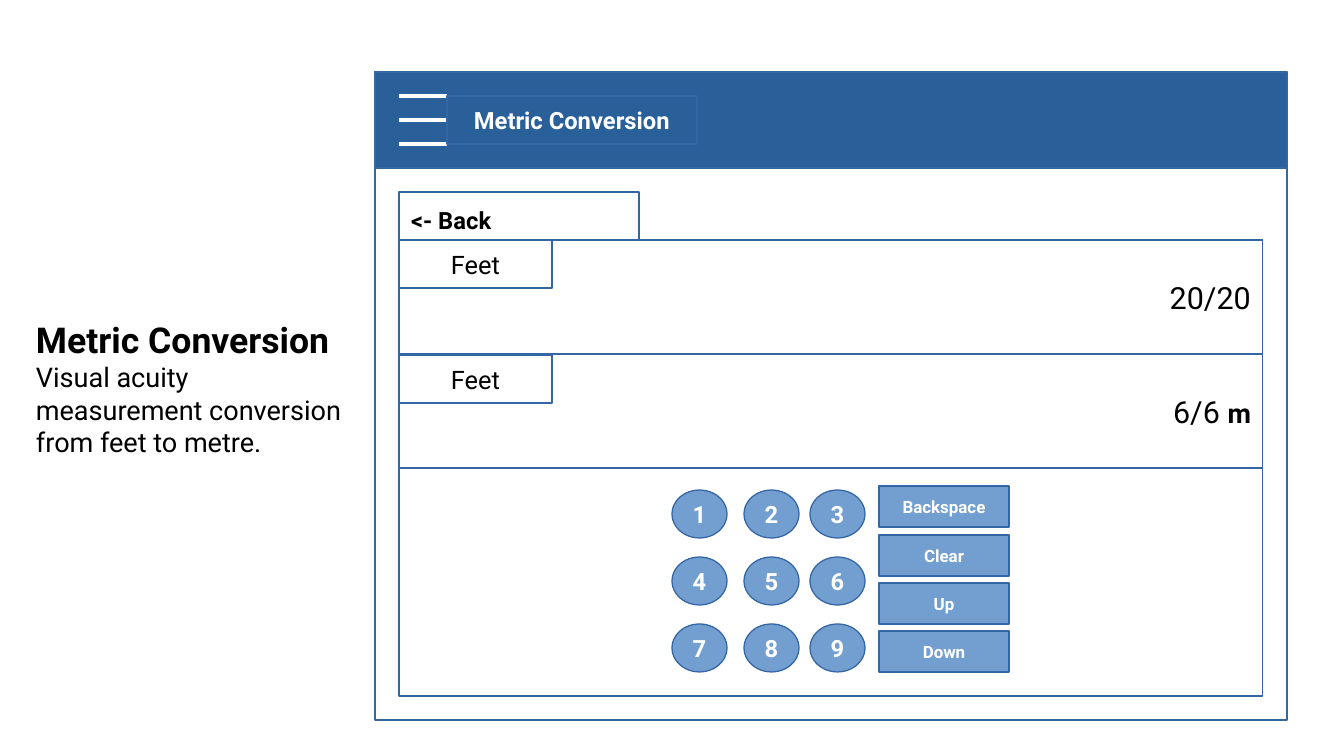
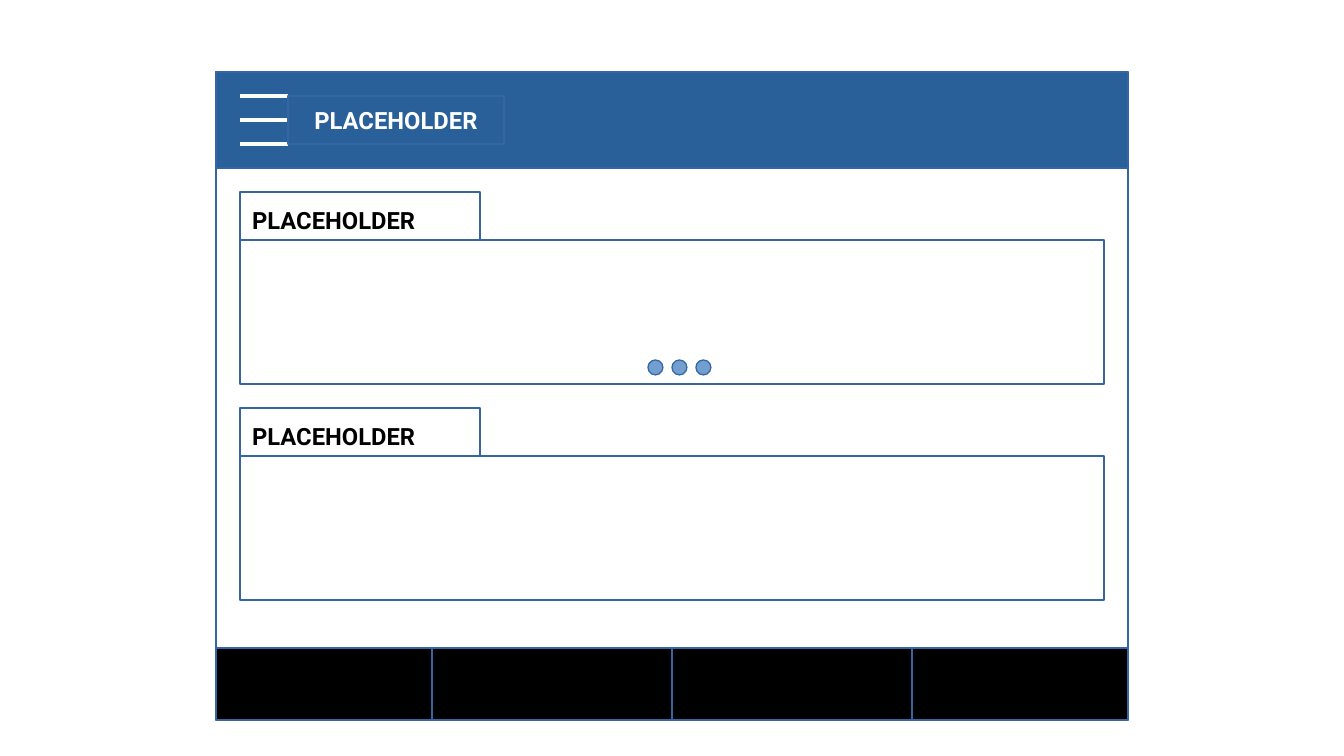
from dataclasses import dataclass
from typing import NamedTuple

import pptx
import pptx.dml.color
import pptx.enum.shapes
import pptx.enum.text
import pptx.oxml.ns
import pptx.util
from lxml import etree

PX = 914400 / 122
UNIT = 24
FONT = "Roboto"
HUES = {
    "white": "FFFFFF",
    "black": "000000",
    "band": "2A6099",
    "key": "729FCF",
    "edge": "3465A4",
}
RECT = pptx.enum.shapes.MSO_SHAPE.RECTANGLE
OVAL = pptx.enum.shapes.MSO_SHAPE.OVAL
LEFT, MID, RIGHT = (
    pptx.enum.text.PP_ALIGN.LEFT,
    pptx.enum.text.PP_ALIGN.CENTER,
    pptx.enum.text.PP_ALIGN.RIGHT,
)
CENTRE = pptx.enum.text.MSO_ANCHOR.MIDDLE
BOTTOM = pptx.enum.text.MSO_ANCHOR.BOTTOM


class Box(NamedTuple):
    x: int
    y: int
    w: int
    h: int


class Run(NamedTuple):
    text: str
    size: int
    bold: bool = False


@dataclass
class Label:
    runs: list[Run]
    hue: str = "black"
    align: int = MID
    anchor: int = CENTRE


def emu(px: int) -> int:
    return round(px * PX)


def rgb(hue: str) -> pptx.dml.color.RGBColor:
    return pptx.dml.color.RGBColor.from_string(HUES[hue])


def style(font, run: Run) -> None:
    font.size = pptx.util.Pt(run.size)
    font.bold = run.bold


def write(para, runs: list[Run], hue: str, align: int) -> None:
    para.alignment = align
    para.font.name = FONT
    para.font.color.rgb = rgb(hue)
    for run in runs:
        part = para.add_run()
        part.text = run.text
        style(para.font if len(runs) == 1 else part.font, run)


def draw(slide, box: Box, fill: str | None = "white",
         label: Label | None = None, kind: int = RECT) -> None:
    shape = slide.shapes.add_shape(kind, *map(emu, box))
    shape.shadow.inherit = False
    if fill:
        shape.fill.solid()
        shape.fill.fore_color.rgb = rgb(fill)
    else:
        shape.fill.background()
    shape.line.color.rgb = rgb("edge")
    shape.line.width = 0
    if label:
        frame = shape.text_frame
        frame.vertical_anchor = label.anchor
        if kind == OVAL:
            frame.margin_left = frame.margin_right = 0
            frame.margin_top = frame.margin_bottom = 0
        write(frame.paragraphs[0], label.runs, label.hue, label.align)


def rule(slide, x: int, y: int, w: int) -> None:
    line = slide.shapes.add_connector(
        pptx.enum.shapes.MSO_CONNECTOR.STRAIGHT,
        emu(x), emu(y), emu(x + w), emu(y))
    line.line.color.rgb = rgb("white")
    line.line.width = pptx.util.Pt(2.83)
    etree.SubElement(line.element.spPr, pptx.oxml.ns.qn("a:effectLst"))


def screen(slide, x: int, title: str, width: int) -> int:
    draw(slide, Box(x, 72, 912, 648))
    draw(slide, Box(x, 72, 912, 96), "band")
    inner = x + UNIT
    for row in range(3):
        rule(slide, inner, 96 + row * UNIT, 48)
    draw(slide, Box(inner + 48, 96, width, 48), None,
         Label([Run(title, 14, True)], "white"))
    return inner


def tab(slide, x: int, y: int, text: str) -> None:
    draw(slide, Box(x, y, 240, 48), "white",
         Label([Run(text, 14, True)], align=LEFT, anchor=BOTTOM))


def caption(slide, box: Box, lines: list[Run]) -> None:
    frame = slide.shapes.add_textbox(*map(emu, box)).text_frame
    frame.word_wrap = True
    for spot, run in enumerate(lines):
        para = frame.add_paragraph() if spot else frame.paragraphs[0]
        write(para, [run], "black", LEFT)


def metric(slide) -> None:
    x = screen(slide, 375, "Metric Conversion", 250)
    draw(slide, Box(x, 240, 864, 456))
    tab(slide, x, 192, "<- Back")
    caption(slide, Box(24, 312, 337, 210), [
        Run("Metric Conversion", 21, True),
        Run("Visual acuity measurement conversion from feet to metre.", 16),
    ])
    values = [[Run("20/20", 18)], [Run("6/6 ", 18), Run("m", 16, True)]]
    for row, runs in enumerate(values):
        draw(slide, Box(x, 240 + row * 114, 864, 114), "white",
             Label(runs, align=RIGHT))
    for row in range(3):
        for col, left in enumerate((672, 744, 810)):
            digit = str(row * 3 + col + 1)
            draw(slide, Box(left, 490 + row * 67, 55, 48), "key",
                 Label([Run(digit, 14, True)], "white"), OVAL)
    keys = {"Backspace": 486, "Clear": 535, "Up": 583, "Down": 631}
    for text, top in keys.items():
        draw(slide, Box(879, top, 130, 41), "key",
             Label([Run(text, 10, True)], "white"))
    for top in (240, 355):
        draw(slide, Box(x, top, 153, 48), "white", Label([Run("Feet", 15)]))


def layout(slide) -> None:
    x = screen(slide, 216, "PLACEHOLDER", 216)
    for top in (192, 408):
        draw(slide, Box(x, top + 48, 864, 144))
        tab(slide, x, top, "PLACEHOLDER")
    left = 216
    for width in (216, 240, 240, 216):
        draw(slide, Box(left, 648, width, 72), "black")
        left += width
    for dot in range(3):
        draw(slide, Box(648 + dot * UNIT, 360, 15, 15), "key", kind=OVAL)


def main() -> None:
    deck = pptx.Presentation()
    deck.slide_width = emu(1344)
    deck.slide_height = emu(756)
    for build in (metric, layout):
        build(deck.slides.add_slide(deck.slide_layouts[6]))
    deck.save("out.pptx")


if __name__ == "__main__":
    main()
